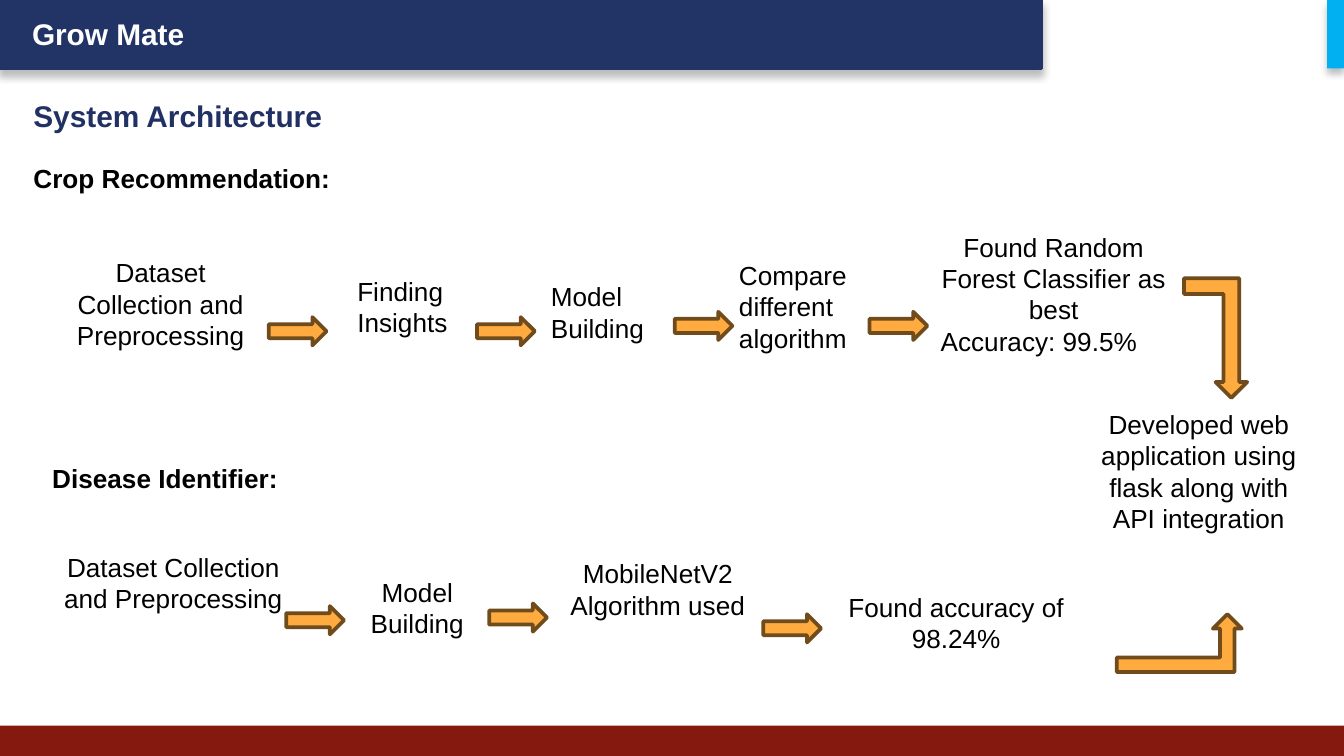
"""Build the Grow Mate system architecture slide with its two process flows."""
import lxml.etree
import pptx
import pptx.dml.color
import pptx.enum.shapes
import pptx.enum.text
import pptx.oxml
import pptx.oxml.ns
import pptx.util

RGBColor = pptx.dml.color.RGBColor
NAVY = RGBColor(0x22, 0x33, 0x66)
HEADING = RGBColor(0x21, 0x31, 0x63)
MAROON = RGBColor(0x85, 0x19, 0x10)
CYAN = RGBColor(0x00, 0xB0, 0xF0)
ORANGE = RGBColor(0xFF, 0xAB, 0x40)
BROWN = RGBColor(0x70, 0x4B, 0x1C)
WHITE = RGBColor(0xFF, 0xFF, 0xFF)
BLACK = RGBColor(0x00, 0x00, 0x00)

PX = 4572
MSO_SHAPE = pptx.enum.shapes.MSO_SHAPE
LEFT = pptx.enum.text.PP_ALIGN.LEFT
CENTER = pptx.enum.text.PP_ALIGN.CENTER
SHADOW = (
    f'<a:effectLst {pptx.oxml.ns.nsdecls("a")}>'
    '<a:outerShdw blurRad="50800" dist="38100" dir="5400000" algn="t" rotWithShape="0">'
    '<a:srgbClr val="000000"><a:alpha val="25000"/></a:srgbClr>'
    '</a:outerShdw></a:effectLst>'
)

presentation = pptx.Presentation()
presentation.slide_width = 2000 * PX
presentation.slide_height = 1125 * PX
slide = presentation.slides.add_slide(presentation.slide_layouts[6])


def add_block(kind, left, top, width, height, fill, line=None):
    shape = slide.shapes.add_shape(kind, left * PX, top * PX, width * PX, height * PX)
    shape.shadow.inherit = False
    shape.fill.solid()
    shape.fill.fore_color.rgb = fill
    if line is None:
        shape.line.fill.background()
    else:
        shape.line.color.rgb = line
        shape.line.width = pptx.util.Pt(2)
    return shape


def add_label(text, left, top, width, height, alignment=LEFT, size=14, color=BLACK, bold=False):
    box = slide.shapes.add_textbox(left * PX, top * PX, width * PX, height * PX)
    text_frame = box.text_frame
    text_frame.word_wrap = True
    text_frame.text = text
    for paragraph in text_frame.paragraphs:
        paragraph.alignment = alignment
        font = paragraph.runs[0].font
        font.name = "Arial"
        font.size = pptx.util.Pt(size)
        font.bold = bold
        font.color.rgb = color
    return box


title_bar = add_block(MSO_SHAPE.RECTANGLE, 0, 0, 1550, 102, NAVY, NAVY)
add_block(MSO_SHAPE.RECTANGLE, 0, 1080, 2000, 45, MAROON)
corner_tab = add_block(MSO_SHAPE.RECTANGLE, 1975, 0, 25, 102, CYAN)
for shape in (title_bar, corner_tab):
    properties = shape._element.spPr
    empty_effects = properties.find(pptx.oxml.ns.qn("a:effectLst"))
    properties.replace(empty_effects, pptx.oxml.parse_xml(SHADOW))

add_label("Grow Mate", 28, 14, 600, 74, size=16, color=WHITE, bold=True)
heading = add_label("System Architecture", 30, 126, 970, 106, size=16, color=HEADING, bold=True)
heading.text_frame.margin_top = heading.text_frame.margin_bottom = 20 * PX
add_label("Crop Recommendation:", 30, 232, 970, 68, bold=True)
add_label("Disease Identifier:", 58, 678, 580, 68, bold=True)

steps = [
    ("Dataset Collection and Preprocessing", 70, 372, 338, 202, CENTER),
    ("Finding Insights", 512, 400, 198, 142, LEFT),
    ("Model Building", 800, 408, 218, 114, LEFT),
    ("Compare different algorithm", 1080, 376, 242, 202, LEFT),
    ("Found Random Forest Classifier as best\nAccuracy: 99.5%", 1380, 334, 376, 262, CENTER),
    ("Developed web application using flask along with API integration", 1596, 598, 376, 324, CENTER),
    ("Dataset Collection and Preprocessing", 58, 810, 400, 202, CENTER),
    ("Model Building", 512, 848, 218, 142, CENTER),
    ("MobileNetV2 Algorithm used", 822, 820, 314, 202, CENTER),
    ("Found accuracy of 98.24%", 1240, 870, 366, 142, CENTER),
]
for step in steps:
    box = add_label(*step)
    for paragraph in box.text_frame.paragraphs[1:]:
        paragraph.alignment = LEFT

crop_arrows = [(400, 472), (710, 472), (1004, 464), (1294, 464)]
disease_arrows = [(426, 902), (728, 898), (1136, 914)]
for left, top in crop_arrows + disease_arrows:
    add_block(MSO_SHAPE.RIGHT_ARROW, left, top, 86, 42, ORANGE, BROWN)

down_arrow = add_block(MSO_SHAPE.BENT_UP_ARROW, 1762, 414, 94, 178, ORANGE, BROWN)
down_arrow.rotation = 180
down_arrow._element.spPr.xfrm.set("flipH", "1")
add_block(MSO_SHAPE.BENT_UP_ARROW, 1662, 914, 186, 86, ORANGE, BROWN)

presentation.save("out.pptx")
